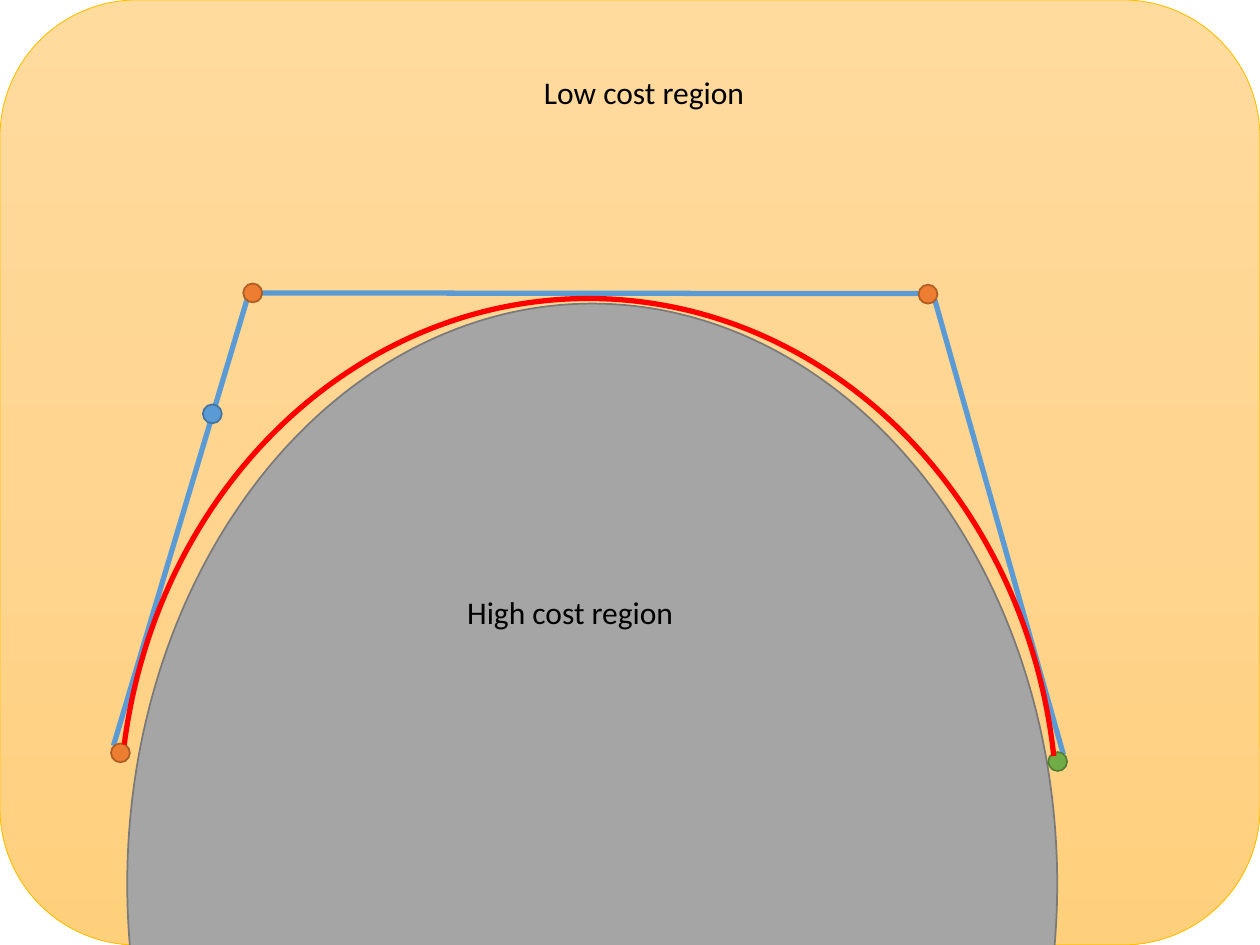
from copy import deepcopy

from pptx import Presentation
from pptx.dml.color import RGBColor
from pptx.enum.shapes import MSO_CONNECTOR, MSO_SHAPE
from pptx.enum.text import MSO_AUTO_SIZE
from pptx.oxml.ns import qn
from pptx.util import Pt

STRAIGHT = MSO_CONNECTOR.STRAIGHT
ROUNDED, OVAL, ARC = MSO_SHAPE.ROUNDED_RECTANGLE, MSO_SHAPE.OVAL, MSO_SHAPE.ARC
FIT_TEXT = MSO_AUTO_SIZE.SHAPE_TO_FIT_TEXT

WIDTH, HEIGHT = 720, 540
DOT_SIZE = 10.8
PATH_WIDTH = 3
FONT, FONT_SIZE = "Calibri", 18

COLORS = {
    "low_top": "FFDB9E", "low_middle": "FFD590", "low_bottom": "FFD07C", "low_edge": "FFC000",
    "high": "A5A5A5", "high_edge": "7A7A7A",
    "orange": "ED7D31", "orange_edge": "AF5C24",
    "blue": "5B9BD5", "blue_edge": "43739E",
    "green": "70AD47", "green_edge": "538035",
    "curve": "FF0000", "text": "000000",
}

LOW_REGION = (0, 0, WIDTH, HEIGHT)
HIGH_REGION = (72.7, 173.5, 531.4, 663.1)
CURVE = (68.4, 170.6, 535.7, 593.3)
CURVE_ANGLES = (188.94, 352.47)

SEGMENTS = [
    ((64.8, 426.2), (141.1, 171.4)),
    ((524.9, 167.8), (149.8, 167.4)),
    ((607.7, 431.3), (534.2, 171.4)),
]
DOTS = [
    (63.4, 424.8, "orange"),
    (139, 162, "orange"),
    (115.9, 231.1, "blue"),
    (524.9, 162.7, "orange"),
    (599, 429.8, "green"),
]
LOW_LABEL = ("Low cost region", (303.8, 38.2, 249.8, 28.8))
HIGH_LABEL = ("High cost region", (259.9, 335.5, 144, 28.8))


def color(name):
    return RGBColor.from_string(COLORS[name])


def points(values):
    return [Pt(value) for value in values]


def style_line(line, name, width):
    line.color.rgb = color(name)
    line.width = Pt(width)


def add_shape(slide, kind, box, edge, width, fill=None):
    shape = slide.shapes.add_shape(kind, *points(box))
    shape.shadow.inherit = False
    style_line(shape.line, edge, width)
    if fill:
        shape.fill.solid()
        shape.fill.fore_color.rgb = color(fill)
    else:
        shape.fill.background()
    return shape


def add_low_region(slide):
    region = add_shape(slide, ROUNDED, LOW_REGION, "low_edge", 0.5)
    region.adjustments[0] = 0.145
    region.fill.gradient()
    region.fill.gradient_angle = 270
    stops = region.element.spPr.find(".//" + qn("a:gsLst"))
    stops.insert(1, deepcopy(stops[0]))
    names = ("low_top", "low_middle", "low_bottom")
    for stop, name, position in zip(region.fill.gradient_stops, names, (0, 0.5, 1)):
        stop.color.rgb = color(name)
        stop.position = position


def add_segment(slide, start, end):
    segment = slide.shapes.add_connector(STRAIGHT, *points(start + end))
    style_line(segment.line, "blue", PATH_WIDTH)
    properties = segment.element.spPr
    properties.append(properties.makeelement(qn("a:effectLst"), {}))


def add_curve(slide):
    curve = add_shape(slide, ARC, CURVE, "curve", PATH_WIDTH)
    for index, angle in enumerate(CURVE_ANGLES):
        curve.adjustments[index] = angle * 0.6


def add_label(slide, text, box):
    frame = slide.shapes.add_textbox(*points(box)).text_frame
    frame.word_wrap = True
    frame.auto_size = FIT_TEXT
    run = frame.paragraphs[0].add_run()
    run.text = text
    run.font.name = FONT
    run.font.size = Pt(FONT_SIZE)
    run.font.color.rgb = color("text")


def main():
    presentation = Presentation()
    presentation.slide_width, presentation.slide_height = Pt(WIDTH), Pt(HEIGHT)
    slide = presentation.slides.add_slide(presentation.slide_layouts[6])

    add_low_region(slide)
    add_shape(slide, OVAL, HIGH_REGION, "high_edge", 1, "high")
    for start, end in SEGMENTS:
        add_segment(slide, start, end)
    for left, top, name in DOTS:
        add_shape(slide, OVAL, (left, top, DOT_SIZE, DOT_SIZE), name + "_edge", 1, name)
    add_label(slide, *LOW_LABEL)
    add_curve(slide)
    add_label(slide, *HIGH_LABEL)
    presentation.save("out.pptx")


if __name__ == "__main__":
    main()
